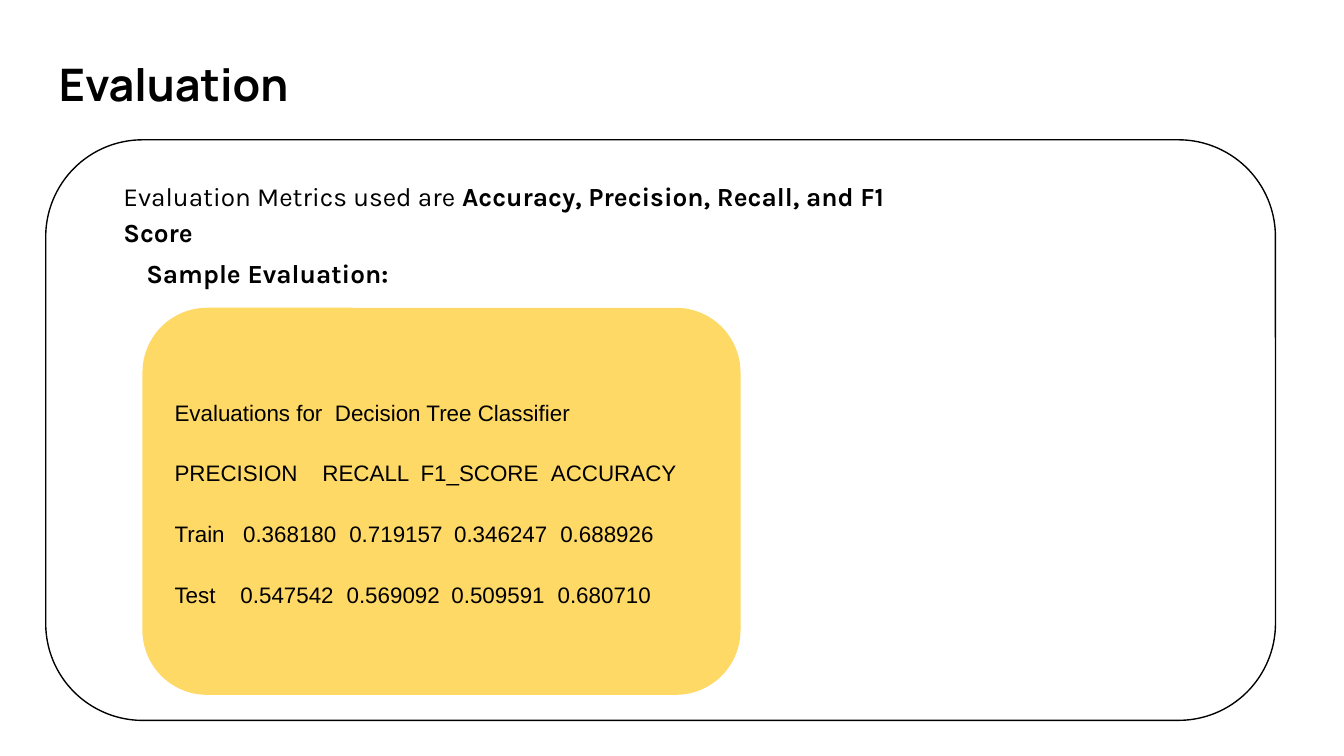
from pptx import Presentation
from pptx.dml.color import RGBColor
from pptx.enum.shapes import MSO_SHAPE
from pptx.enum.text import MSO_ANCHOR, PP_ALIGN
from pptx.oxml.ns import qn
from pptx.util import Inches, Pt
from lxml import etree

ROUND = MSO_SHAPE.ROUNDED_RECTANGLE
TOP, MIDDLE = MSO_ANCHOR.TOP, MSO_ANCHOR.MIDDLE
LEFT = PP_ALIGN.LEFT
COLORS = {"ink": "000000", "card": "FFD966"}

deck = Presentation()
deck.slide_width = Inches(10)
deck.slide_height = Inches(10 * 9 / 16)
slide = deck.slides.add_slide(deck.slide_layouts[6])


def panel(left, top, width, height):
    """Add a rounded box without fill or line."""
    box = slide.shapes.add_shape(
        ROUND, Inches(left), Inches(top), Inches(width), Inches(height))
    box.adjustments[0] = 0.167
    box.shadow.inherit = False
    box.fill.background()
    box.line.fill.background()
    return box


def write(shape, lines, size, face, anchor=TOP, spacing=1.15, gap=0):
    """Fill a shape with lines, each a list of (text, bold) and tab stops."""
    frame = shape.text_frame
    margins = ("margin_left", "margin_top", "margin_right", "margin_bottom")
    style = {"word_wrap": True, "vertical_anchor": anchor}
    style.update({side: Inches(0.1) for side in margins})
    for key, value in style.items():
        setattr(frame, key, value)
    for row, (parts, stops) in enumerate(lines):
        para = frame.add_paragraph() if row else frame.paragraphs[0]
        if stops:
            tabs = etree.SubElement(para._p.get_or_add_pPr(), qn("a:tabLst"))
            for stop in stops:
                etree.SubElement(tabs, qn("a:tab"),
                                 pos=str(Inches(stop)), algn="l")
        para.alignment = LEFT
        para.line_spacing = spacing
        if row:
            para.space_before = Pt(gap)
        for text, bold in parts:
            run = para.add_run()
            run.text = text
            for key, value in {"size": Pt(size), "name": face,
                               "bold": bold}.items():
                setattr(run.font, key, value)
            run.font.color.rgb = RGBColor.from_string(COLORS["ink"])


border = panel(0.34, 1.04, 9.15, 4.32)
border.line.color.rgb = RGBColor.from_string(COLORS["ink"])
border.line.width = Pt(0.75)

title = ((0.34, 0.32, 9.32, 0.68), [("Evaluation", True)], 24, "Manrope", 1)
metrics = ((0.82, 1.21, 6.37, 0.51),
           [("Evaluation Metrics used are ", False),
            ("Accuracy, Precision, Recall, and F1 Score", True)],
           14, "Karla", 1.15)
sample = ((0.99, 1.78, 2.04, 0.39), [("Sample Evaluation:", True)],
          14, "Karla", 1.15)
for place, parts, size, face, spacing in (title, metrics, sample):
    box = slide.shapes.add_textbox(*(Inches(side) for side in place))
    write(box, [(parts, [])], size, face, spacing=spacing)

card = panel(1.06, 2.29, 4.45, 2.88)
card.fill.solid()
card.fill.fore_color.rgb = RGBColor.from_string(COLORS["card"])

scores = [
    (["Evaluations for  Decision Tree Classifier"], []),
    (["PRECISION", "RECALL", "F1_SCORE", "ACCURACY"], [1.1, 1.83, 2.8]),
    (["Train", "0.368180", "0.719157", "0.346247", "0.688926"],
     [0.51, 1.3, 2.08, 2.87]),
    (["Test", "0.547542", "0.569092", "0.509591", "0.680710"],
     [0.49, 1.28, 2.06, 2.85]),
]
write(card, [([("\t".join(cells), False)], stops) for cells, stops in scores],
      12, "Arial", anchor=MIDDLE, gap=16)

deck.save("out.pptx")
